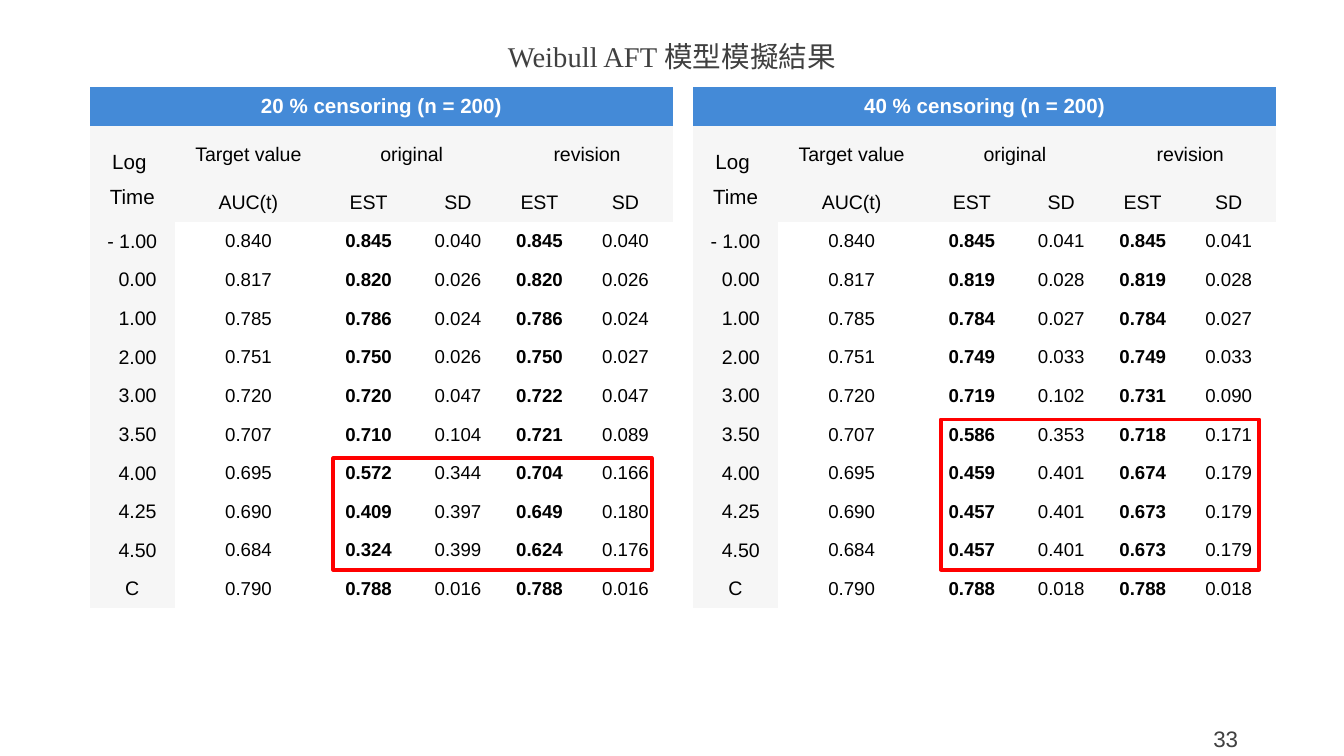
"""Build the slide comparing Weibull AFT simulation results at two censoring rates."""
from itertools import product

from lxml.etree import SubElement
from pptx import Presentation
from pptx.dml.color import RGBColor
from pptx.enum.shapes import MSO_SHAPE
from pptx.enum.text import MSO_ANCHOR, MSO_AUTO_SIZE, PP_ALIGN
from pptx.oxml.ns import qn
from pptx.util import Cm, Pt

THEME = {
    "font": "Arial", "title_font": "Times New Roman", "cjk_font": "Noto Sans CJK SC",
    "text": "000000", "muted": "404040", "white": "FFFFFF",
    "band": "448AD7", "label": "F6F6F6", "mark": "FF0000",
    "title_size": 15.3, "number_size": 12, "band_size": 11,
    "label_size": 10.5, "value_size": 10, "mark_width": 2,
}
TITLE = ("Weibull AFT ", "模型模擬結果")
PAGE_NUMBER = "33"
HEADINGS = [
    ["Log \nTime", "Target value", "original", "", "revision", ""],
    ["", "AUC(t)", "EST", "SD", "EST", "SD"],
]
LOG_TIMES = ["- 1.00", "0.00", "1.00", "2.00", "3.00", "3.50", "4.00", "4.25", "4.50", "C"]
TARGETS = ["0.840", "0.817", "0.785", "0.751", "0.720", "0.707", "0.695", "0.690", "0.684", "0.790"]
STUDIES = [
    {
        "heading": "20 % censoring (n = 200)", "left": 1.7, "mark_left": 6.3, "mark_from": "4.00",
        "estimates": [
            ("0.845", "0.040", "0.845", "0.040"),
            ("0.820", "0.026", "0.820", "0.026"),
            ("0.786", "0.024", "0.786", "0.024"),
            ("0.750", "0.026", "0.750", "0.027"),
            ("0.720", "0.047", "0.722", "0.047"),
            ("0.710", "0.104", "0.721", "0.089"),
            ("0.572", "0.344", "0.704", "0.166"),
            ("0.409", "0.397", "0.649", "0.180"),
            ("0.324", "0.399", "0.624", "0.176"),
            ("0.788", "0.016", "0.788", "0.016"),
        ],
    },
    {
        "heading": "40 % censoring (n = 200)", "left": 13.1, "mark_left": 17.78, "mark_from": "3.50",
        "estimates": [
            ("0.845", "0.041", "0.845", "0.041"),
            ("0.819", "0.028", "0.819", "0.028"),
            ("0.784", "0.027", "0.784", "0.027"),
            ("0.749", "0.033", "0.749", "0.033"),
            ("0.719", "0.102", "0.731", "0.090"),
            ("0.586", "0.353", "0.718", "0.171"),
            ("0.459", "0.401", "0.674", "0.179"),
            ("0.457", "0.401", "0.673", "0.179"),
            ("0.457", "0.401", "0.673", "0.179"),
            ("0.788", "0.018", "0.788", "0.018"),
        ],
    },
]
PAGE_SIZE = (25.4, 14.29)
TABLE_TOP = 1.65
COLUMN_WIDTHS = [1.6, 2.79, 1.75, 1.63, 1.45, 1.8]
ROW_HEIGHT, TALL_ROW_HEIGHT = 0.73, 1.09
ROW_HEIGHTS = [ROW_HEIGHT, TALL_ROW_HEIGHT] + [ROW_HEIGHT] * (1 + len(LOG_TIMES))
FIRST_VALUE_ROW = 1 + len(HEADINGS)
MERGES = [((0, 0), (0, 5)), ((1, 0), (2, 0)), ((1, 2), (1, 3)), ((1, 4), (1, 5))]
MARK_WIDTH, MARK_INSET = 6.02, 0.08
LABEL_INDENT = 0.2
PLAIN_TABLE_STYLE = "{2D5ABB26-0587-4C30-8999-92F81FD0307C}"


def style_paragraph(paragraph, size, color, font=THEME["font"], bold=False, align=PP_ALIGN.CENTER):
    paragraph.alignment = align
    for span in paragraph.runs:
        span.font.name = font
        span.font.size = Pt(size)
        span.font.bold = bold
        span.font.color.rgb = RGBColor.from_string(color)


def cell_style(row, column):
    if row == 0:
        return THEME["band"], THEME["band_size"], THEME["white"], True
    if (row, column) == (1, 0):
        return THEME["label"], THEME["band_size"], THEME["text"], False
    if row < FIRST_VALUE_ROW or column == 0:
        return THEME["label"], THEME["label_size"], THEME["text"], False
    return THEME["white"], THEME["value_size"], THEME["text"], column in (2, 4)


def add_title(page):
    box = page.shapes.title
    box.left, box.top, box.width, box.height = Cm(0), Cm(0.66), Cm(PAGE_SIZE[0]), Cm(0.8)
    frame = box.text_frame
    frame.auto_size = MSO_AUTO_SIZE.NONE
    frame.vertical_anchor = MSO_ANCHOR.MIDDLE
    paragraph = frame.paragraphs[0]
    for words in TITLE:
        paragraph.add_run().text = words
    style_paragraph(paragraph, THEME["title_size"], THEME["muted"], THEME["title_font"])
    for span in paragraph.runs:
        SubElement(span.font._element, qn("a:ea"), typeface=THEME["cjk_font"])


def add_page_number(page):
    box = page.shapes.add_textbox(Cm(17.93), Cm(13.59), Cm(5.72), Cm(0.76))
    frame = box.text_frame
    frame.word_wrap = True
    frame.vertical_anchor = MSO_ANCHOR.MIDDLE
    frame.text = PAGE_NUMBER
    style_paragraph(frame.paragraphs[0], THEME["number_size"], THEME["muted"], align=PP_ALIGN.RIGHT)


def add_results_table(page, study):
    values = [[time, target, *estimates]
              for time, target, estimates in zip(LOG_TIMES, TARGETS, study["estimates"])]
    contents = [[study["heading"]] + [""] * 5] + HEADINGS + values
    table = page.shapes.add_table(
        len(contents), len(COLUMN_WIDTHS), Cm(study["left"]), Cm(TABLE_TOP),
        Cm(sum(COLUMN_WIDTHS)), Cm(sum(ROW_HEIGHTS))).table
    table._tbl.tblPr.find(qn("a:tableStyleId")).text = PLAIN_TABLE_STYLE
    table.first_row = table.horz_banding = False
    for column, width in zip(table.columns, COLUMN_WIDTHS):
        column.width = Cm(width)
    for row, height in zip(table.rows, ROW_HEIGHTS):
        row.height = Cm(height)
    for start, end in MERGES:
        table.cell(*start).merge(table.cell(*end))
    for row, column in product(range(len(contents)), range(len(COLUMN_WIDTHS))):
        cell = table.cell(row, column)
        fill, size, color, bold = cell_style(row, column)
        cell.fill.solid()
        cell.fill.fore_color.rgb = RGBColor.from_string(fill)
        cell.vertical_anchor = MSO_ANCHOR.MIDDLE
        cell.margin_left = cell.margin_right = Cm(0.1)
        if cell.is_spanned:
            continue
        cell.text_frame.text = contents[row][column]
        for paragraph in cell.text_frame.paragraphs:
            style_paragraph(paragraph, size, color, bold=bold)
            if (row, column) == (1, 0):
                paragraph.line_spacing = 1.5
        if column == 0 and FIRST_VALUE_ROW < row < len(contents) - 1:
            cell.margin_left = Cm(0.1 + LABEL_INDENT)


def add_mark(page, study):
    first = FIRST_VALUE_ROW + LOG_TIMES.index(study["mark_from"])
    top = TABLE_TOP + sum(ROW_HEIGHTS[:first]) + MARK_INSET
    bottom = TABLE_TOP + sum(ROW_HEIGHTS[:-1])
    mark = page.shapes.add_shape(MSO_SHAPE.RECTANGLE, Cm(study["mark_left"]), Cm(top),
                                 Cm(MARK_WIDTH), Cm(bottom - top))
    mark.shadow.inherit = False
    mark.fill.background()
    mark.line.color.rgb = RGBColor.from_string(THEME["mark"])
    mark.line.width = Pt(THEME["mark_width"])


def main():
    deck = Presentation()
    deck.slide_width, deck.slide_height = (Cm(length) for length in PAGE_SIZE)
    page = deck.slides.add_slide(deck.slide_layouts[5])
    add_title(page)
    add_page_number(page)
    for study in STUDIES:
        add_results_table(page, study)
    for study in STUDIES:
        add_mark(page, study)
    deck.save("out.pptx")


if __name__ == "__main__":
    main()
